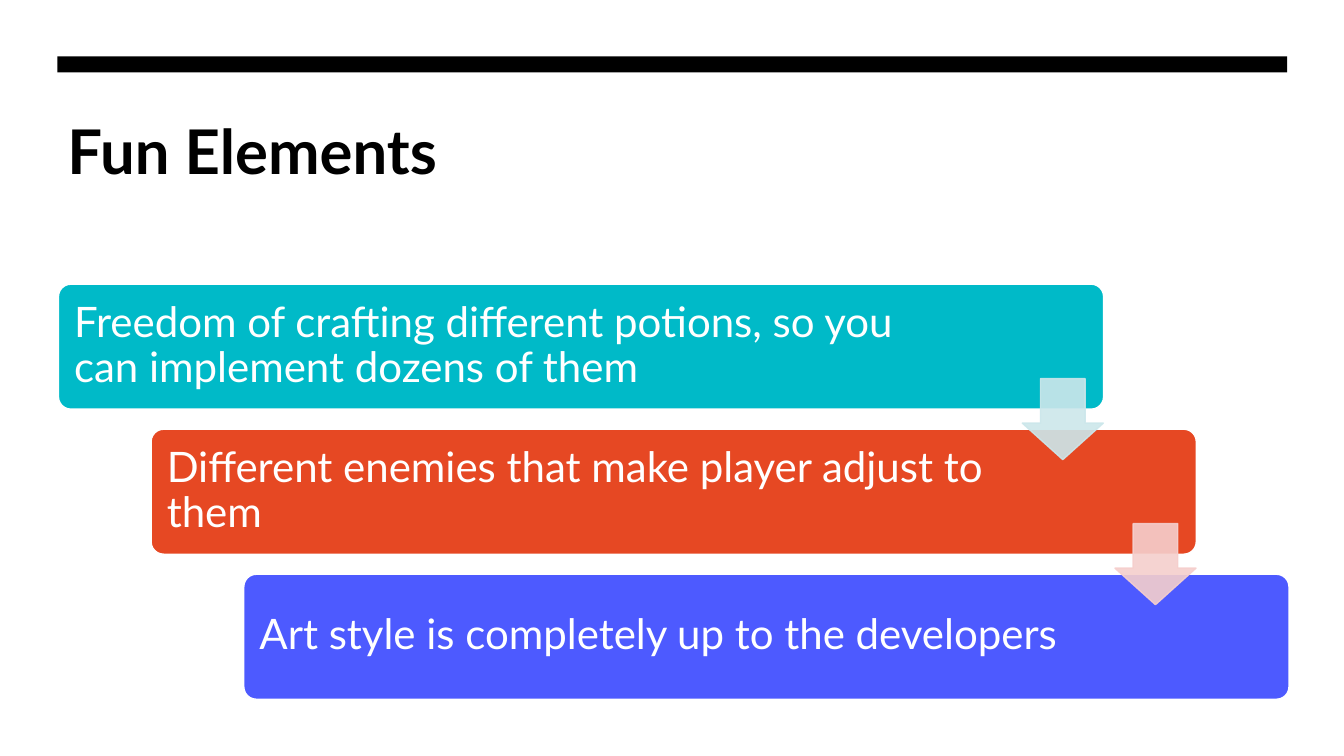
from lxml import etree
from pptx import Presentation
from pptx.dml.color import RGBColor
from pptx.enum import shapes, text
from pptx.oxml.ns import qn
from pptx.util import Pt

HUES = {
    "black": "000000", "white": "FFFFFF",
    "teal": "00BAC8", "red": "E64823", "blue": "4D5AFF",
    "mist": "CCE7EB", "rose": "F5CFCD",
}
KIND = shapes.MSO_SHAPE
STEPS = [
    ("Freedom of crafting different potions, so you can implement dozens of them", "teal", 651),
    ("Different enemies that make player adjust to them", "red", 618),
    ("Art style is completely up to the developers", "blue", 618),
]
LEFT, TOP, WIDTH, HEIGHT = 41.75, 203, 746.6, 89.3
STEP_X, STEP_Y = 66.2, 103.6


def hue(name):
    """Return the named colour."""
    return RGBColor.from_string(HUES[name])


def write(frame, words, size, color, bold=False, anchor=text.MSO_ANCHOR.TOP,
          inset=(7.2, 3.6), space=1.0):
    """Put one left-aligned paragraph in a text frame."""
    frame.word_wrap = True
    frame.auto_size = text.MSO_AUTO_SIZE.NONE
    frame.vertical_anchor = anchor
    frame.margin_left = frame.margin_right = Pt(inset[0])
    frame.margin_top = frame.margin_bottom = Pt(inset[1])
    para = frame.paragraphs[0]
    para.alignment = text.PP_ALIGN.LEFT
    para.line_spacing = space
    run = para.add_run()
    run.text = words
    run.font.name = "Lato"
    run.font.size = Pt(size)
    run.font.bold = bold
    run.font.color.rgb = hue(color)


def block(slide, kind, box, fill, line=None, adjust=(), alpha=None):
    """Add a filled preset shape, with optional outline and opacity."""
    shape = slide.shapes.add_shape(kind, *map(Pt, box))
    shape.shadow.inherit = False
    shape.fill.solid()
    shape.fill.fore_color.rgb = hue(fill)
    if line:
        shape.line.color.rgb = hue(line)
        shape.line.width = Pt(1)
    else:
        shape.line.fill.background()
    for spot, value in enumerate(adjust):
        shape.adjustments[spot] = value
    if alpha:
        for color in shape.element.spPr.iter(qn("a:srgbClr")):
            etree.SubElement(color, qn("a:alpha")).set("val", str(alpha * 1000))


def head(slide, words):
    """Place the title and the rule above it."""
    title = slide.shapes.title
    title.left, title.top, title.width, title.height = map(Pt, (41, 77, 878.4, 115.2))
    write(title.text_frame, words, 44, "black", bold=True)
    block(slide, KIND.RECTANGLE, (41, 40.2, 878.4, 11.6), "black")


def stair(slide):
    """Draw the steps with their labels, then the arrows between them."""
    for rank, (words, fill, width) in enumerate(STEPS):
        left, top = LEFT + rank * STEP_X, TOP + rank * STEP_Y
        block(slide, KIND.ROUNDED_RECTANGLE, (left, top, WIDTH, HEIGHT), fill,
              line="white", adjust=[0.1])
        label = slide.shapes.add_textbox(*map(Pt, (left + 2.6, top + 2.6, width, 83.5)))
        write(label.text_frame, words, 30, "white", inset=(8.6, 8.6), space=0.9,
              anchor=text.MSO_ANCHOR.MIDDLE)
    for rank, fill in enumerate(("mist", "rose")):
        box = (730.2 + rank * STEP_X, 270.4 + rank * STEP_Y, 57.9, 57.9)
        block(slide, KIND.DOWN_ARROW, box, fill, line=fill, adjust=[0.55, 0.45], alpha=90)


def main():
    """Build the slide and save it."""
    deck = Presentation()
    deck.slide_width, deck.slide_height = Pt(960), Pt(540)
    slide = deck.slides.add_slide(deck.slide_layouts[5])
    head(slide, "Fun Elements")
    stair(slide)
    deck.save("out.pptx")


if __name__ == "__main__":
    main()
